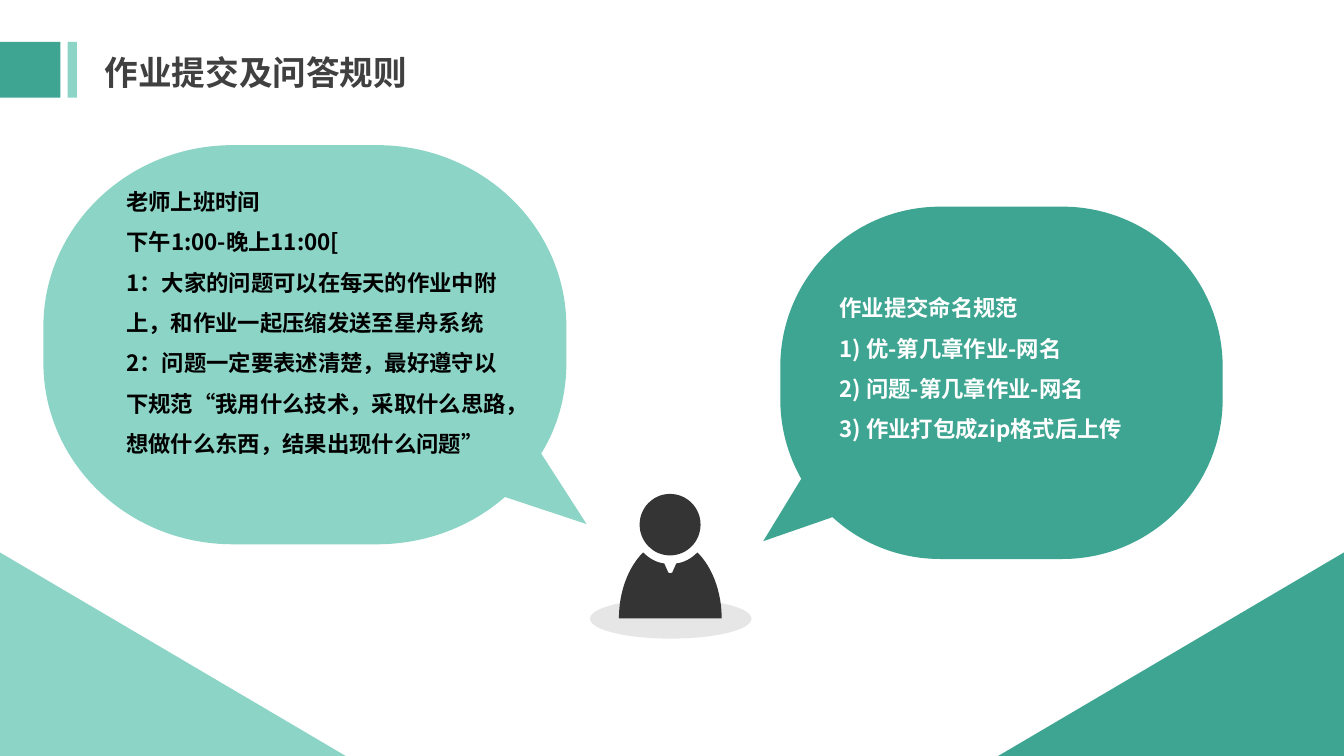
import lxml.etree
import pptx
import pptx.dml.color
import pptx.enum.shapes
import pptx.enum.text
import pptx.oxml.ns
import pptx.util

Pt = pptx.util.Pt
qn = pptx.oxml.ns.qn
SHAPE = pptx.enum.shapes.MSO_SHAPE
ANCHOR = pptx.enum.text.MSO_ANCHOR
FONT = "Noto Sans CJK SC"
MINT, TEAL, DARK, GREY = "8CD4C6", "3DA591", "343434", "E6E6E6"


def paint(fill, color):
    fill.solid()
    fill.fore_color.rgb = pptx.dml.color.RGBColor.from_string(color)


def add_text(text, box, size=16, color="000000", spacing=1.5, anchor=ANCHOR.TOP, back=None):
    sp = s.shapes.add_textbox(*[Pt(v) for v in box])
    if back:
        paint(sp.fill, back)
    tf = sp.text_frame
    tf.word_wrap = True
    tf.auto_size = pptx.enum.text.MSO_AUTO_SIZE.SHAPE_TO_FIT_TEXT
    tf.vertical_anchor = anchor
    tf.text = text
    for p in tf.paragraphs:
        p.line_spacing = spacing
        for r in p.runs:
            r.font.size = Pt(size)
            r.font.bold = True
            r.font.name = FONT
            paint(r.font.fill, color)
            ea = lxml.etree.SubElement(r.font._element, qn("a:ea"))
            ea.set("typeface", FONT)


prs = pptx.Presentation()
prs.slide_width, prs.slide_height = Pt(960), Pt(540)
s = prs.slides.add_slide(prs.slide_layouts[6])

presets = [
    (SHAPE.OVAL, GREY, (421.4, 427.7, 115.4, 28.5), None),
    (SHAPE.RECTANGLE, TEAL, (0, 30, 43.2, 39.7), None),
    (SHAPE.RECTANGLE, MINT, (48.4, 30, 6.5, 39.7), None),
    (SHAPE.ISOSCELES_TRIANGLE, MINT, (0, 394.6, 247, 145.4), 0),
    (SHAPE.ISOSCELES_TRIANGLE, TEAL, (713, 394.6, 247, 145.4), 1),
]
for kind, color, box, apex in presets:
    sp = s.shapes.add_shape(kind, *[Pt(v) for v in box])
    sp.shadow.inherit = False
    paint(sp.fill, color)
    sp.line.fill.background()
    if apex is not None:
        sp.adjustments[0] = apex

head = [
    (500.4, 374.7),
    (500.4, 386.9, 490.6, 396.7, 478.6, 396.7),
    (466.6, 396.7, 456.9, 386.9, 456.9, 374.7),
    (456.9, 362.6, 466.6, 352.8, 478.6, 352.8),
    (490.6, 352.8, 500.4, 362.6, 500.4, 374.7),
]
torso = [
    (498.2, 394.6),
    (493.9, 398.9, 488.9, 401.8, 483.1, 402.5),
    (480.2, 409),
    (479.5, 409.7, 478.1, 409.7, 477.4, 409),
    (474.5, 402.5),
    (468.7, 401.8, 463.7, 398.9, 459.4, 394.6),
    (449.3, 404.6, 442.1, 421.9, 442.1, 441.7),
    (515.5, 441.7),
    (515.5, 421.9, 508.3, 404.6, 498.2, 394.6),
]
left_bubble = [
    (269.3, 103.7),
    (344.2, 103.7, 404.6, 162, 404.6, 233.3),
    (404.6, 259.2),
    (404.6, 283, 398.2, 305.3, 386.6, 324),
    (419, 374.4),
    (360.7, 355),
    (337, 375.8, 304.6, 388.8, 269.3, 388.8),
    (166.3, 388.8),
    (91.4, 388.8, 31, 330.5, 31, 259.2),
    (31, 233.3),
    (31, 162, 91.4, 103.7, 166.3, 103.7),
    (269.3, 103.7),
]
right_bubble = [
    (671.8, 147.6),
    (608.4, 147.6, 557.4, 198.7, 557.4, 262.1),
    (557.4, 285.1),
    (557.4, 306, 563, 325.4, 572.4, 342),
    (545.2, 386.6),
    (594.7, 369.4),
    (614.9, 388.1, 642.2, 399.3, 671.8, 399.3),
    (758.9, 399.3),
    (822.2, 399.3, 873.4, 347.8, 873.4, 285.1),
    (873.4, 262.1),
    (873.4, 198.7, 822.2, 147.6, 758.9, 147.6),
    (671.8, 147.6),
]
UNITS = 100
for color, outline in [(DARK, head), (DARK, torso), (MINT, left_bubble), (TEAL, right_bubble)]:
    corners = [(seg[-2] * UNITS, seg[-1] * UNITS) for seg in outline]
    left = min(x for x, y in corners)
    top = min(y for x, y in corners)
    builder = s.shapes.build_freeform(*corners[0], scale=Pt(1) / UNITS)
    builder.add_line_segments(corners[1:], close=True)
    sp = builder.convert_to_shape()
    sp.shadow.inherit = False
    paint(sp.fill, color)
    sp.line.fill.background()
    steps = list(sp._element.find(".//" + qn("a:path")))
    for step, seg in zip(steps, outline):
        if len(seg) == 6:
            curve = lxml.etree.Element(qn("a:cubicBezTo"))
            for x, y in zip(seg[::2], seg[1::2]):
                pt = lxml.etree.SubElement(curve, qn("a:pt"))
                pt.set("x", str(round(x * UNITS - left)))
                pt.set("y", str(round(y * UNITS - top)))
            step.getparent().replace(step, curve)

add_text("作业提交及问答规则", (67.7, 33.8, 236.2, 36), size=24, color="404040",
         spacing=1.0, anchor=ANCHOR.MIDDLE, back="FFFFFF")
add_text("作业提交命名规范\v1) 优-第几章作业-网名\v2) 问题-第几章作业-网名\v"
         "3) 作业打包成zip格式后上传", (592.6, 197.3, 253.4, 120.2), color="FFFFFF")
add_text("老师上班时间\v下午1:00-晚上11:00[\n"
         "1：大家的问题可以在每天的作业中附上，和作业一起压缩发送至星舟系统\n"
         "2：问题一定要表述清楚，最好遵守以下规范“我用什么技术，采取什么思路，"
         "想做什么东西，结果出现什么问题”", (83.2, 121.4, 288, 211))

prs.save("out.pptx")
